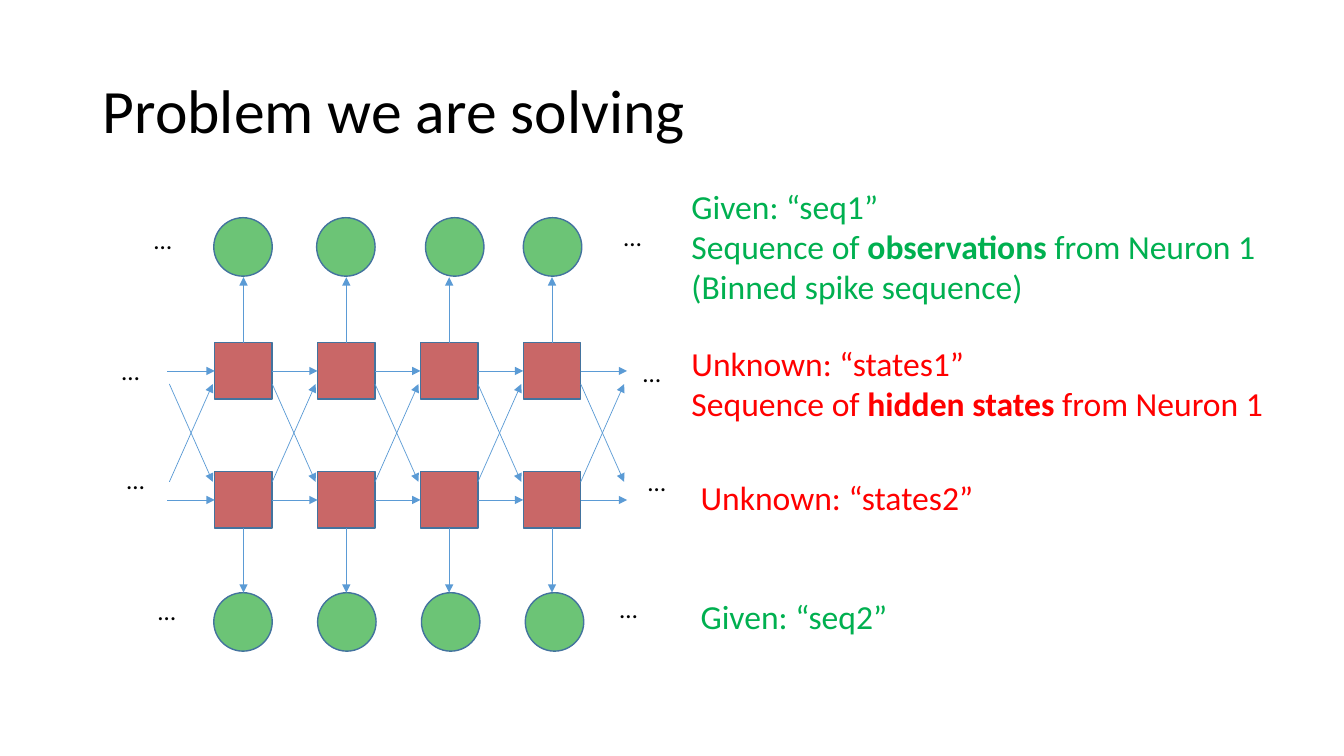
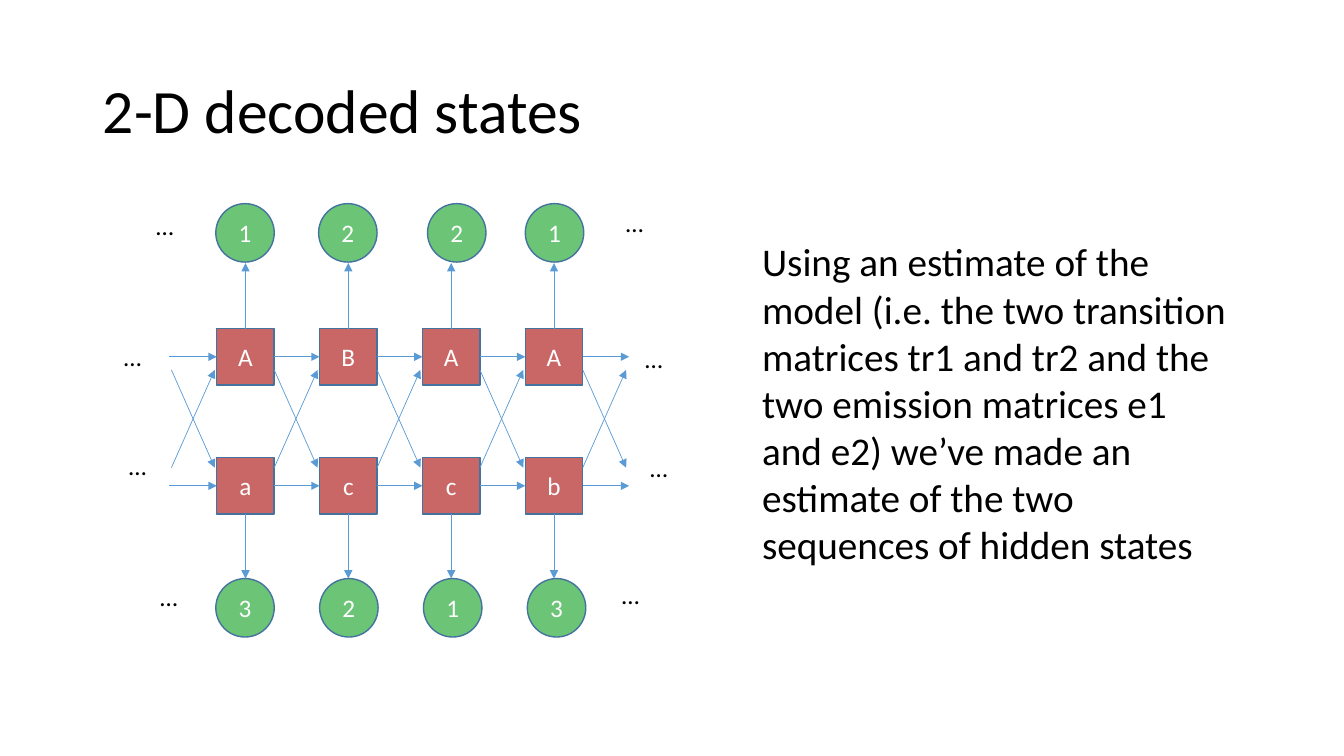
import pptx
import pptx.dml.color
import pptx.enum.shapes
import pptx.enum.text
import pptx.oxml
import pptx.oxml.ns
import pptx.util

RGBColor = pptx.dml.color.RGBColor
MSO_SHAPE = pptx.enum.shapes.MSO_SHAPE
PP_ALIGN = pptx.enum.text.PP_ALIGN
MSO_ANCHOR = pptx.enum.text.MSO_ANCHOR
MSO_AUTO_SIZE = pptx.enum.text.MSO_AUTO_SIZE

FONT = "Calibri"
BLACK = RGBColor(0x00, 0x00, 0x00)
WHITE = RGBColor(0xFF, 0xFF, 0xFF)
STATE_RED = RGBColor(0xC9, 0x67, 0x67)
OBSERVATION_GREEN = RGBColor(0x6C, 0xC4, 0x76)
OUTLINE_BLUE = RGBColor(0x43, 0x73, 0x9E)
ARROW_BLUE = RGBColor(0x5B, 0x9B, 0xD5)
GIVEN_GREEN = RGBColor(0x00, 0xB0, 0x50)
UNKNOWN_RED = RGBColor(0xFF, 0x00, 0x00)

PX_PER_INCH = 100
STEPS = 4
PITCH = 102
STATE_WIDTH, STATE_HEIGHT = 57, 56
CIRCLE = 58
UPPER_STATE_TOP, LOWER_STATE_TOP, LOWER_CIRCLE_TOP = 124, 252, 372
UPPER_CIRCLE_LEFTS = (0, 102, 210, 307)
LOWER_CIRCLE_LEFTS = (0, 103, 206, 309)
CROSS_TOP, CROSS_BOTTOM = 165, 262
ELLIPSES = ((-69, 2), (-101, 132), (-96, 240), (-65, 370),
            (397, -1), (416, 134), (421, 242), (393, 368))


def px(length):
    """Turn px into EMU."""
    return pptx.util.Emu(round(length * 914400 / PX_PER_INCH))


def add_run(paragraph, text, size, color, bold=False):
    """Add one formatted run to a paragraph."""
    run = paragraph.add_run()
    run.text = text
    run.font.name = FONT
    run.font.size = pptx.util.Pt(size)
    run.font.bold = bold
    run.font.color.rgb = color


def add_text(slide, box, lines, size, color):
    """Place a text box whose lines are lists of (text, bold) runs."""
    frame = slide.shapes.add_textbox(*map(px, box)).text_frame
    frame.word_wrap = True
    frame.auto_size = MSO_AUTO_SIZE.SHAPE_TO_FIT_TEXT
    for index, runs in enumerate(lines):
        paragraph = frame.add_paragraph() if index else frame.paragraphs[0]
        for text, bold in runs:
            add_run(paragraph, text, size, color, bold)


def add_node(slide, kind, box, fill, label):
    """Place one state or observation with its optional label."""
    node = slide.shapes.add_shape(kind, *map(px, box))
    node.shadow.inherit = False
    node.fill.solid()
    node.fill.fore_color.rgb = fill
    node.line.color.rgb = OUTLINE_BLUE
    node.line.width = pptx.util.Pt(1)
    if label:
        node.text_frame.vertical_anchor = MSO_ANCHOR.MIDDLE
        paragraph = node.text_frame.paragraphs[0]
        paragraph.alignment = PP_ALIGN.CENTER
        add_run(paragraph, label, 18, WHITE)
    return node


def add_arrow(slide, start, end):
    """Draw a thin arrow between two points and return it."""
    arrow = slide.shapes.add_connector(
        pptx.enum.shapes.MSO_CONNECTOR.STRAIGHT, *map(px, (*start, *end)))
    arrow.line.color.rgb = ARROW_BLUE
    arrow.line.width = pptx.util.Pt(0.5)
    line = arrow.line._get_or_add_ln()
    tail = pptx.oxml.parse_xml(
        f'<a:tailEnd {pptx.oxml.ns.nsdecls("a")} type="triangle"/>')
    line.append(tail)
    arrow._element.spPr.append(pptx.oxml.parse_xml(
        f'<a:effectLst {pptx.oxml.ns.nsdecls("a")}/>'))
    return arrow


def add_state_row(slide, left, top, labels):
    """Place a row of states linked by arrows and return the states."""
    states = [add_node(slide, MSO_SHAPE.RECTANGLE,
                       (left + 1 + PITCH * step, top, STATE_WIDTH, STATE_HEIGHT),
                       STATE_RED, label)
              for step, label in enumerate(labels)]
    middle = top + STATE_HEIGHT // 2
    for before, after in zip([None, *states], [*states, None]):
        arrow = add_arrow(slide, (left - 46, middle), (left + 410, middle))
        if before:
            arrow.begin_connect(before, 3)
        if after:
            arrow.end_connect(after, 1)
    return states


def add_observation_row(slide, lefts, top, labels, states, side, tip):
    """Place a row of observations, each reached by an arrow from its state."""
    for step, (left, label, state) in enumerate(zip(lefts, labels, states)):
        add_node(slide, MSO_SHAPE.OVAL, (left, top, CIRCLE, CIRCLE),
                 OBSERVATION_GREEN, label)
        center = lefts[0] + 1 + PITCH * step + STATE_WIDTH / 2
        arrow = add_arrow(slide, (center, tip), (center, tip))
        arrow.begin_connect(state, side)


def add_lattice(slide, left, top, labels):
    """Draw two coupled state chains with their observations."""
    upper_seen, upper_hidden, lower_hidden, lower_seen = labels
    upper = add_state_row(slide, left, top + UPPER_STATE_TOP, upper_hidden)
    lower = add_state_row(slide, left, top + LOWER_STATE_TOP, lower_hidden)
    add_observation_row(slide, [left + x for x in UPPER_CIRCLE_LEFTS], top,
                        upper_seen, upper, 0, top + CIRCLE + 1)
    lower_top = top + LOWER_CIRCLE_TOP
    add_observation_row(slide, [left + x for x in LOWER_CIRCLE_LEFTS], lower_top,
                        lower_seen, lower, 2, lower_top)
    for gap in range(STEPS + 1):
        start = left - 44 + PITCH * gap
        for a, b in ((CROSS_TOP, CROSS_BOTTOM), (CROSS_BOTTOM, CROSS_TOP)):
            add_arrow(slide, (start, top + a), (start + 43, top + b))
    for x, y in ELLIPSES:
        add_text(slide, (left + x, top + y, 35, 40), [[("…", False)]], 18, BLACK)


def add_titled_slide(deck, heading):
    """Add a slide with the shared title style."""
    slide = deck.slides.add_slide(deck.slide_layouts[5])
    title = slide.shapes.title
    title.left, title.top, title.width, title.height = map(px, (92, 40, 1150, 145))
    title.text_frame.vertical_anchor = MSO_ANCHOR.MIDDLE
    title.text_frame.auto_size = MSO_AUTO_SIZE.NONE
    paragraph = title.text_frame.paragraphs[0]
    paragraph.alignment = PP_ALIGN.LEFT
    paragraph.line_spacing = 0.9
    add_run(paragraph, heading, 44, BLACK)
    return slide


def add_problem_slide(deck):
    """Show the unlabelled lattice beside what is given and unknown."""
    slide = add_titled_slide(deck, "Problem we are solving")
    add_lattice(slide, 212, 216, [[""] * STEPS] * 4)
    captions = (
        ((676, 179, 592, 131), GIVEN_GREEN,
         [[("Given: “seq1”", False)],
          [("Sequence of ", False), ("observations", True), (" from Neuron 1", False)],
          [("(Binned spike sequence)", False)]]),
        ((676, 335, 605, 91), UNKNOWN_RED,
         [[("Unknown: “states1”", False)],
          [("Sequence of ", False), ("hidden states ", True), ("from Neuron 1", False)]]),
        ((685, 468, 589, 50), UNKNOWN_RED, [[("Unknown: “states2”", False)]]),
        ((685, 586, 468, 50), GIVEN_GREEN, [[("Given: “seq2”", False)]]),
    )
    for box, color, lines in captions:
        add_text(slide, box, lines, 24, color)


def add_decoded_slide(deck):
    """Show the decoded lattice beside its explanation."""
    slide = add_titled_slide(deck, "2-D decoded states")
    add_lattice(slide, 214, 202, ("1221", "ABAA", "accb", "3213"))
    explanation = (
        "Using an estimate of the model (i.e. the two transition matrices tr1 and tr2 "
        "and the two emission matrices e1 and e2) we’ve made an estimate of the two "
        "sequences of hidden states")
    add_text(slide, (746, 231, 488, 340), [[(explanation, False)]], 28, BLACK)


def main():
    """Build and save the deck."""
    deck = pptx.Presentation()
    deck.slide_width, deck.slide_height = px(1333), px(750)
    add_problem_slide(deck)
    add_decoded_slide(deck)
    deck.save("out.pptx")


if __name__ == "__main__":
    main()
